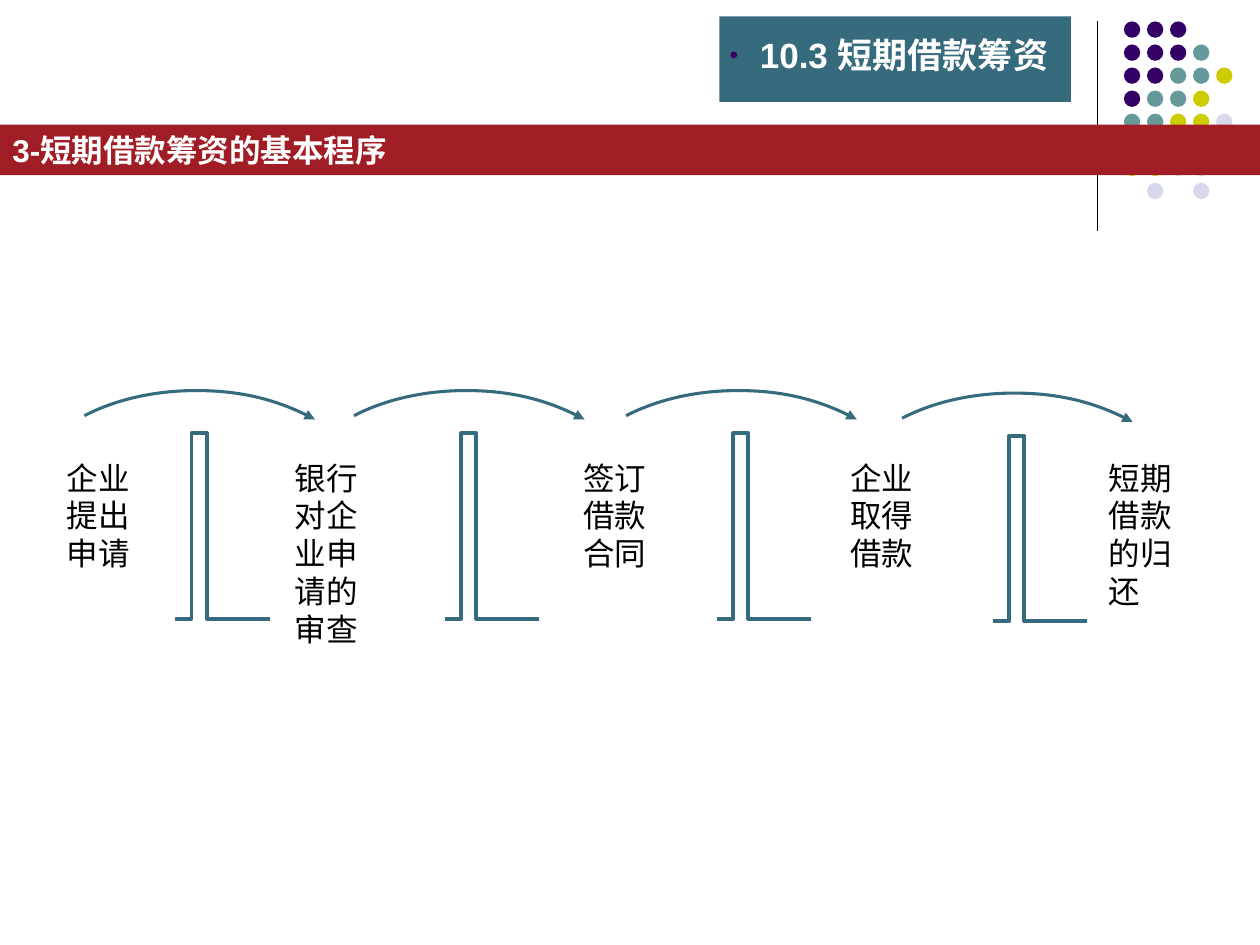
from lxml.etree import SubElement
from pptx import Presentation
from pptx.dml.color import RGBColor
from pptx.enum.shapes import MSO_CONNECTOR, MSO_SHAPE
from pptx.enum.text import MSO_ANCHOR
from pptx.oxml.ns import qn
from pptx.util import Inches, Pt

SLIDE_W, SLIDE_H = Inches(10), Inches(7.5)
COLUMNS, ROWS = 100, 75
FONT = "Arial"
COLORS = {
    "purple": "330066",
    "teal": "669999",
    "olive": "CCCC00",
    "lavender": "D8D8EC",
    "crimson": "A11D26",
    "slate": "366B7E",
    "white": "FFFFFF",
    "black": "000000",
}
DOT_COLORS = {"P": "purple", "T": "teal", "Y": "olive", "L": "lavender"}
DOT_ROWS = ["PPP", "PPPT", "PPTTY", "PTTY", "TTYYL", "", "YYLL", " L L"]
DOT_PITCH, DOT_SIZE = 1.83, 1.3

STEPS = [
    ("企业提出申请", 4.3, 10),
    ("银行对企业申请的审查", 22.4, 16),
    ("签订借款合同", 45.3, 10),
    ("企业取得借款", 66.5, 10),
    ("短期借款的归还", 87, 13),
]
BARRIERS = [(13.9, 34.4), (35.3, 34.4), (56.9, 34.4), (78.8, 34.6)]
BARRIER_OUTLINE = [(0, 14.7), (1.3, 14.7), (1.3, 0), (2.5, 0), (2.5, 14.7), (7.5, 14.7)]
ARC_OFFSET = (-7.2, -3.4)
ARC_CONTROLS = [(0, 2), (2.5, 0.7), (5.6, 0), (8.9, 0), (12.3, 0), (15.6, 0.8), (18.3, 2.3)]


def col(count):
    return round(SLIDE_W * count / COLUMNS)


def row(count):
    return round(SLIDE_H * count / ROWS)


def color(name):
    return RGBColor.from_string(COLORS[name])


def add_block(slide, kind, left, top, width, height, fill):
    block = slide.shapes.add_shape(kind, col(left), row(top), col(width), row(height))
    block.shadow.inherit = False
    block.fill.solid()
    block.fill.fore_color.rgb = color(fill)
    block.line.fill.background()
    return block


def add_bullet(paragraph, hanging, tint):
    properties = paragraph._p.get_or_add_pPr()
    properties.set("marL", str(hanging))
    properties.set("indent", str(-hanging))
    bullet_color = SubElement(properties, qn("a:buClr"))
    SubElement(bullet_color, qn("a:srgbClr"), val=COLORS[tint])
    SubElement(properties, qn("a:buSzPct"), val="70000")
    SubElement(properties, qn("a:buFont"), typeface=FONT)
    SubElement(properties, qn("a:buChar"), char="•")


def add_text(slide, text, left, top, width, height, *, size=18, tint="black",
             bold=False, inset=(1, 0.5), anchor=MSO_ANCHOR.TOP, bullet=None):
    box = slide.shapes.add_textbox(col(left), row(top), col(width), row(height))
    frame = box.text_frame
    frame.word_wrap = True
    frame.vertical_anchor = anchor
    frame.margin_left = frame.margin_right = col(inset[0])
    frame.margin_top = frame.margin_bottom = row(inset[1])
    paragraph = frame.paragraphs[0]
    if bullet:
        add_bullet(paragraph, col(2.4), bullet)
    run = paragraph.add_run()
    run.text = text
    run.font.name = FONT
    run.font.size = Pt(size)
    run.font.bold = bold
    run.font.color.rgb = color(tint)


def add_outline(slide, points, origin, weight):
    placed = [(col(origin[0] + x), row(origin[1] + y)) for x, y in points]
    builder = slide.shapes.build_freeform(*placed[0])
    builder.add_line_segments(placed[1:], close=False)
    outline = builder.convert_to_shape()
    outline.shadow.inherit = False
    outline.fill.background()
    outline.line.color.rgb = color("slate")
    outline.line.width = Pt(weight)
    return outline


def add_arc_arrow(slide, origin):
    arc = add_outline(slide, ARC_CONTROLS, origin, 1.75)
    segments = list(arc._element.iter(qn("a:lnTo")))
    track = segments[0].getparent()
    for start in range(0, len(segments), 3):
        curve = SubElement(track, qn("a:cubicBezTo"))
        for segment in segments[start:start + 3]:
            curve.append(segment[0])
            track.remove(segment)
    SubElement(arc.line._get_or_add_ln(), qn("a:tailEnd"), type="triangle")


def add_divider(slide):
    divider = slide.shapes.add_connector(
        MSO_CONNECTOR.STRAIGHT, col(87.1), row(1.7), col(87.1), row(18.3))
    divider.line.color.rgb = color("black")
    divider.line.width = Pt(0.75)
    SubElement(divider._element.spPr, qn("a:effectLst"))


def add_dots(slide):
    for line, pattern in enumerate(DOT_ROWS):
        for place, code in enumerate(pattern):
            if code in DOT_COLORS:
                add_block(slide, MSO_SHAPE.OVAL, 89.2 + place * DOT_PITCH,
                          1.7 + line * DOT_PITCH, DOT_SIZE, DOT_SIZE, DOT_COLORS[code])


def add_headings(slide):
    add_block(slide, MSO_SHAPE.RECTANGLE, 0, 9.9, 100, 4, "crimson")
    add_text(slide, "3-短期借款筹资的基本程序", 0, 9.9, 100, 4, tint="white", bold=True)
    add_block(slide, MSO_SHAPE.RECTANGLE, 57.1, 1.3, 27.9, 6.8, "slate")
    add_text(slide, "10.3 短期借款筹资", 57.9, 2.7, 27.5, 3.3, size=20, tint="white",
             bold=True, inset=(0, 0), anchor=MSO_ANCHOR.MIDDLE, bullet="purple")


def add_process(slide):
    for left, top in BARRIERS:
        add_outline(slide, BARRIER_OUTLINE, (left, top), 2.25)
        add_arc_arrow(slide, (left + ARC_OFFSET[0], top + ARC_OFFSET[1]))
    for step, left, height in STEPS:
        add_text(slide, step, left, 35.9, 7.1, height)


def main():
    deck = Presentation()
    deck.slide_width, deck.slide_height = SLIDE_W, SLIDE_H
    slide = deck.slides.add_slide(deck.slide_layouts[6])
    add_divider(slide)
    add_dots(slide)
    add_headings(slide)
    add_process(slide)
    deck.save("out.pptx")


if __name__ == "__main__":
    main()
